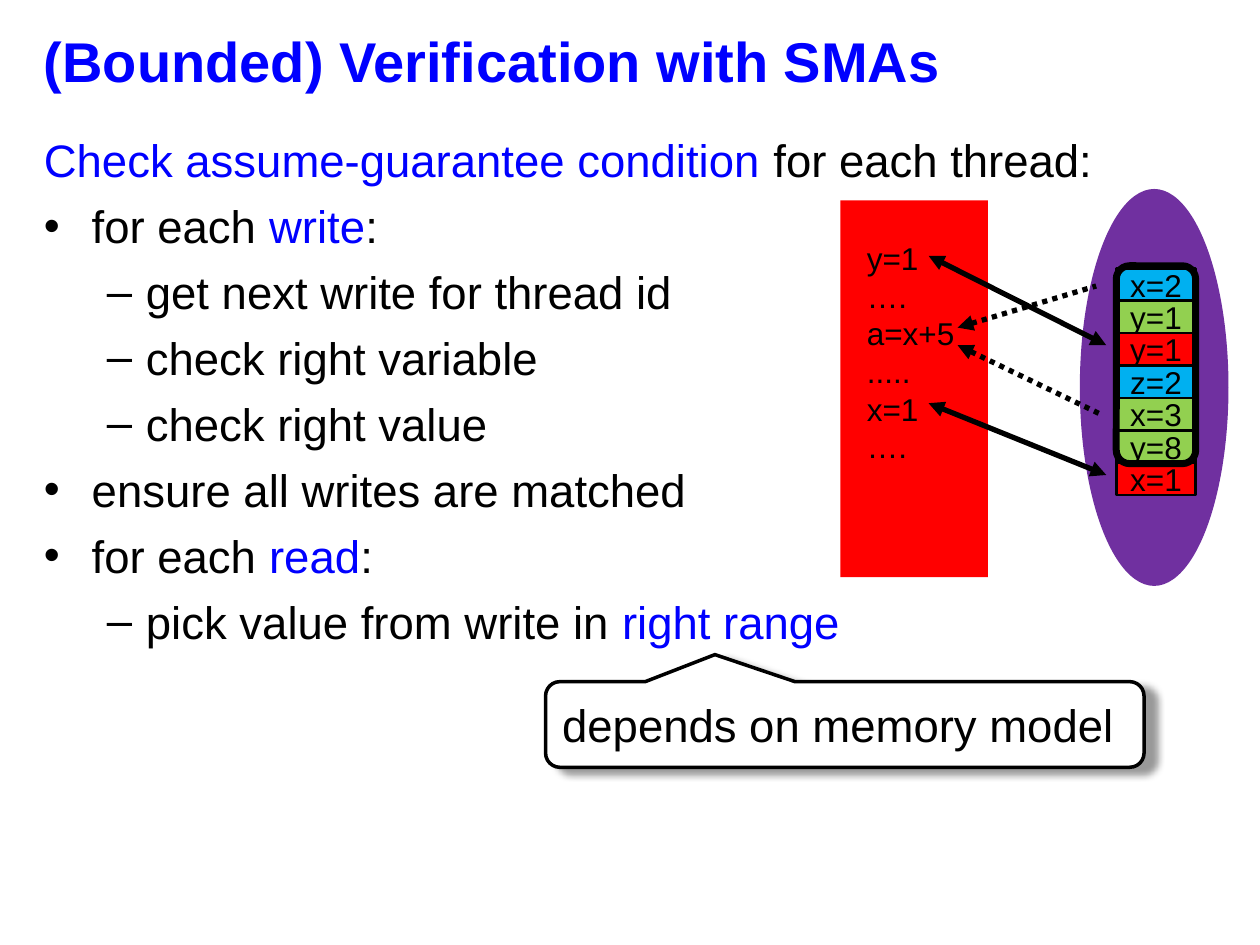
from dataclasses import dataclass

from lxml import etree
from pptx import Presentation
from pptx.dml.color import RGBColor
from pptx.enum.dml import MSO_LINE
from pptx.enum.shapes import MSO_CONNECTOR, MSO_SHAPE
from pptx.enum.text import MSO_ANCHOR, PP_ALIGN
from pptx.oxml.ns import qn
from pptx.util import Inches, Pt

RECT, OVAL = MSO_SHAPE.RECTANGLE, MSO_SHAPE.OVAL
ROUND, CALLOUT = MSO_SHAPE.ROUNDED_RECTANGLE, MSO_SHAPE.ROUNDED_RECTANGULAR_CALLOUT
TOP, MIDDLE = MSO_ANCHOR.TOP, MSO_ANCHOR.MIDDLE
LEFT, CENTER = PP_ALIGN.LEFT, PP_ALIGN.CENTER
STRAIGHT, DOTTED = MSO_CONNECTOR.STRAIGHT, MSO_LINE.ROUND_DOT


@dataclass(frozen=True)
class Theme:
    font: str = "Arial"
    blue: str = "0000FF"
    black: str = "000000"
    white: str = "FFFFFF"
    red: str = "FF0000"
    purple: str = "7030A0"
    sky: str = "00B0F0"
    green: str = "92D050"
    title: int = 32
    body: int = 26
    code: int = 18


THEME = Theme()
POINTS = [
    (None, [("Check assume-guarantee condition ", True), ("for each thread:", False)]),
    ("•", [("for each ", False), ("write", True), (":", False)]),
    ("–", [("get next write for thread id", False)]),
    ("–", [("check right variable", False)]),
    ("–", [("check right value", False)]),
    ("•", [("ensure all writes are matched", False)]),
    ("•", [("for each ", False), ("read", True), (":", False)]),
    ("–", [("pick value from write in ", False), ("right range", True)]),
]
# bullet: level, left margin, first-line indent
INDENTS = {"•": (0, 0.38, -0.38), "–": (1, 0.81, -0.31)}
CODE = ["y=1", "….", "a=x+5", ".....", "x=1", "…."]
WRITES = [
    ("x=2", THEME.sky), ("y=1", THEME.green), ("y=1", THEME.red),
    ("z=2", THEME.sky), ("x=3", THEME.green), ("y=8", THEME.green),
    ("x=1", THEME.red),
]
# start, end, whether it is a read
ARROWS = [
    ((7.37, 2.03), (8.78, 2.74), False),
    ((7.37, 3.2), (8.78, 3.77), False),
    ((7.6, 2.74), (8.74, 3.29), True),
    ((7.6, 2.6), (8.7, 2.27), True),
]


def color(code):
    return RGBColor.from_string(code)


def inches(box):
    return [Inches(n) for n in box]


def add_run(para, text, size, tint=THEME.black, bold=False):
    run = para.add_run()
    run.text = text
    font = run.font
    font.name, font.size, font.bold = THEME.font, Pt(size), bold
    font.color.rgb = color(tint)


def set_frame(frame, anchor, insets=(0.1, 0.05, 0.1, 0.05), wrap=True):
    frame.word_wrap, frame.vertical_anchor = wrap, anchor
    (frame.margin_left, frame.margin_top,
     frame.margin_right, frame.margin_bottom) = inches(insets)


def add_shape(slide, kind, box, fill=None, width=None):
    shape = slide.shapes.add_shape(kind, *inches(box))
    shape.shadow.inherit = False
    if fill:
        shape.fill.solid()
        shape.fill.fore_color.rgb = color(fill)
    else:
        shape.fill.background()
    if width:
        shape.line.color.rgb = color(THEME.black)
        shape.line.width = Pt(width)
    else:
        shape.line.fill.background()
    return shape


def set_bullet(para, mark):
    level, margin, indent = INDENTS[mark]
    para.level = level
    props = para._p.get_or_add_pPr()
    props.set("marL", str(Inches(margin)))
    props.set("indent", str(Inches(indent)))
    etree.SubElement(props, qn("a:buFont"), typeface=THEME.font)
    etree.SubElement(props, qn("a:buChar"), char=mark)


def add_title(slide, box):
    frame = slide.shapes.add_textbox(*inches(box)).text_frame
    set_frame(frame, MIDDLE)
    add_run(frame.paragraphs[0], "(Bounded) Verification with SMAs",
            THEME.title, THEME.blue, True)


def add_body(slide, box):
    frame = slide.shapes.add_textbox(*inches(box)).text_frame
    set_frame(frame, TOP)
    for i, (mark, parts) in enumerate(POINTS):
        para = frame.add_paragraph() if i else frame.paragraphs[0]
        para.space_before = Pt(6.5)
        if mark:
            set_bullet(para, mark)
        for text, strong in parts:
            add_run(para, text, THEME.body, THEME.blue if strong else THEME.black)


def add_thread(slide, box):
    frame = add_shape(slide, RECT, box, THEME.red).text_frame
    set_frame(frame, TOP, (0.21, 0.31, 0.1, 0.05))
    for i, text in enumerate(CODE):
        para = frame.add_paragraph() if i else frame.paragraphs[0]
        para.alignment, para.line_spacing = LEFT, Pt(21.5)
        add_run(para, text, THEME.code)


def add_memory(slide, box):
    """Draw the oval, its stack of writes and the frame around all but the last."""
    left, top, width, height = box
    add_shape(slide, OVAL, box, THEME.purple)
    x, y, wide, step = left + 0.29, top + 0.63, 0.63, 0.257
    for i, (text, fill) in enumerate(WRITES):
        cell = add_shape(slide, RECT, (x, y + i * step, wide, step), fill, 1.5)
        set_frame(cell.text_frame, MIDDLE, (0, 0, 0, 0), False)
        para = cell.text_frame.paragraphs[0]
        para.alignment = CENTER
        add_run(para, text, THEME.code)


def add_range(slide, box):
    add_shape(slide, ROUND, box, width=4)


def add_arrow(slide, start, end, read):
    link = slide.shapes.add_connector(STRAIGHT, *inches(start + end))
    link.line.color.rgb = color(THEME.black)
    link.line.width = Pt(3)
    if read:
        link.line.dash_style = DOTTED
    line = link.line._get_or_add_ln()
    for tag in ["a:headEnd"] if read else ["a:headEnd", "a:tailEnd"]:
        etree.SubElement(line, qn(tag), type="triangle")
    etree.SubElement(link._element.spPr, qn("a:effectLst"))


def add_note(slide, box):
    note = add_shape(slide, CALLOUT, box, THEME.white, 2)
    for i, value in enumerate((-0.217, -0.816, 0.167)):
        note.adjustments[i] = value
    effects = note._element.spPr.find(qn("a:effectLst"))
    shadow = etree.SubElement(effects, qn("a:outerShdw"), blurRad=str(Pt(4)),
                              dist=str(Inches(0.1)), dir="1500000", rotWithShape="0")
    shade = etree.SubElement(shadow, qn("a:srgbClr"), val=THEME.black)
    etree.SubElement(shade, qn("a:alpha"), val="40000")
    set_frame(note.text_frame, MIDDLE)
    para = note.text_frame.paragraphs[0]
    para.alignment = LEFT
    add_run(para, "depends on memory model", THEME.body)


def main():
    deck = Presentation()
    deck.slide_width, deck.slide_height = Inches(10), Inches(7.5)
    slide = deck.slides.add_slide(deck.slide_layouts[6])
    add_title(slide, (0.25, 0.08, 9.67, 0.79))
    add_body(slide, (0.25, 1, 9.5, 5.92))
    add_thread(slide, (6.67, 1.59, 1.17, 2.99))
    add_memory(slide, (8.57, 1.5, 1.18, 3.15))
    for start, end, read in ARROWS:
        add_arrow(slide, start, end, read)
    add_range(slide, (8.86, 2.11, 0.63, 1.57))
    add_note(slide, (4.33, 5.41, 4.75, 0.68))
    deck.save("out.pptx")


if __name__ == "__main__":
    main()
